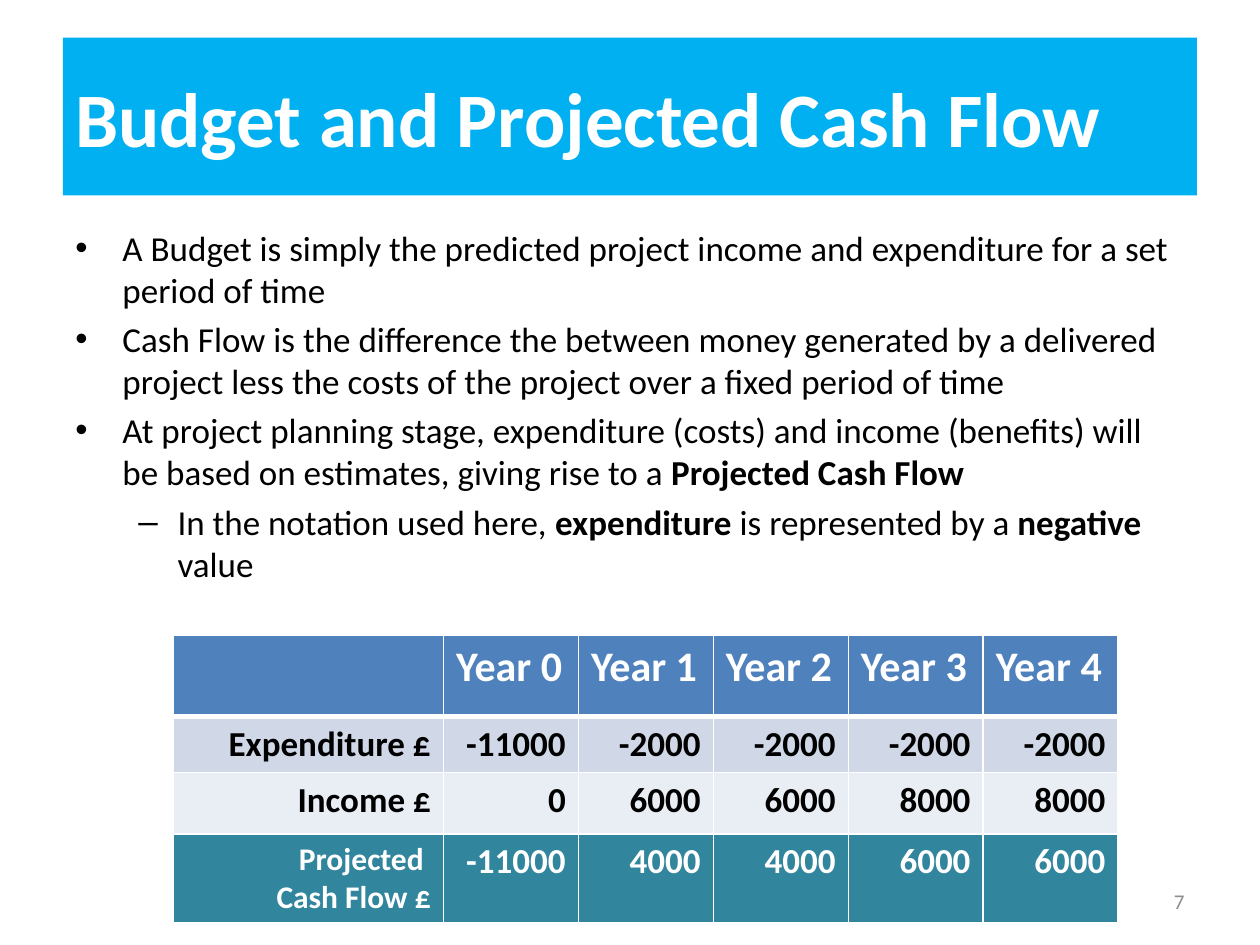
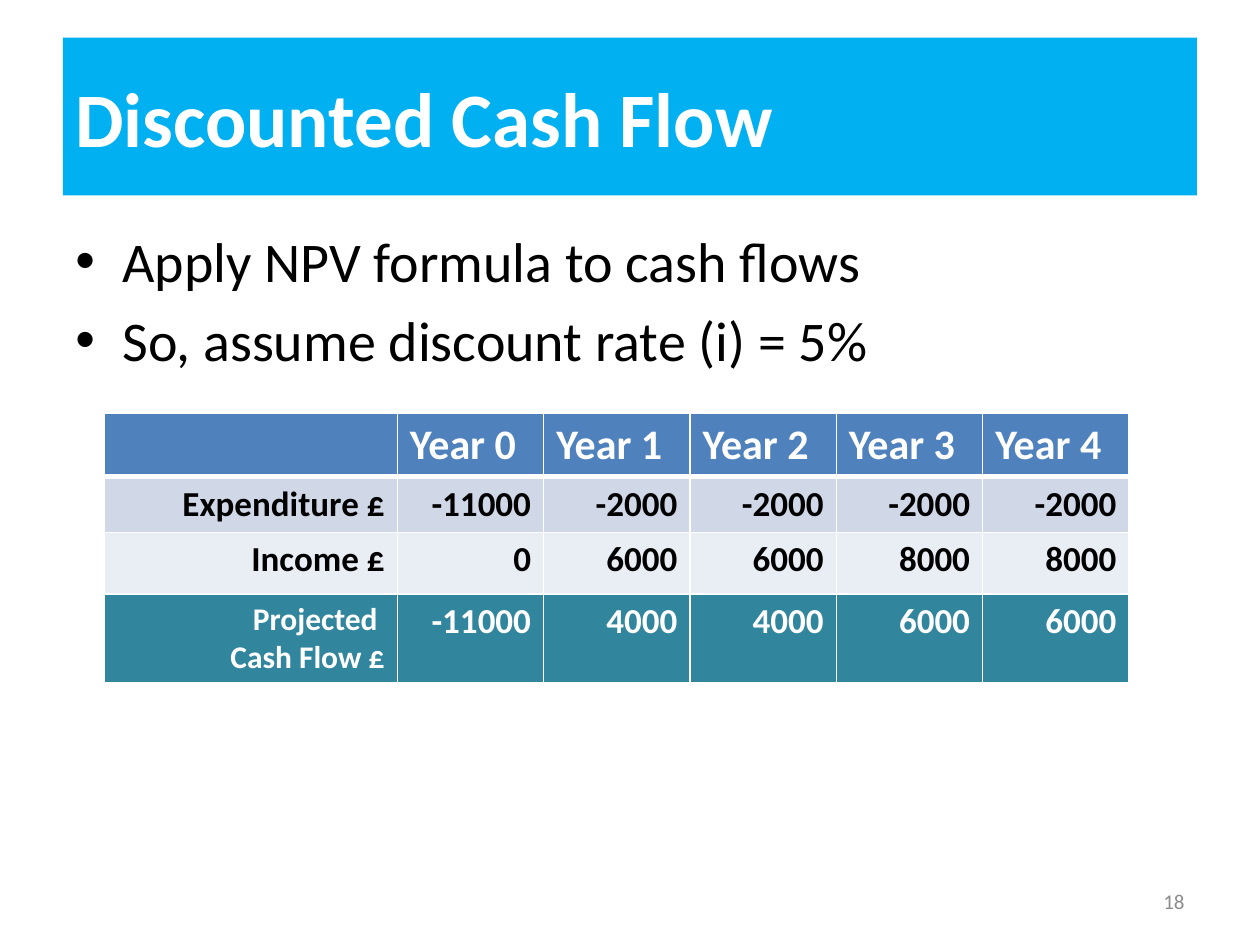
from lxml.etree import SubElement
from pptx import Presentation
from pptx.dml.color import RGBColor
from pptx.enum.shapes import MSO_SHAPE
from pptx.enum.text import MSO_ANCHOR, PP_ALIGN
from pptx.oxml.ns import qn
from pptx.util import Cm, Pt

WHITE = RGBColor(0xFF, 0xFF, 0xFF)
BLACK = RGBColor(0x00, 0x00, 0x00)
GREY = RGBColor(0x8C, 0x8C, 0x8C)
SKY = RGBColor(0x00, 0xB0, 0xF0)
BLUE = RGBColor(0x4F, 0x81, 0xBD)
PALE_BLUE = RGBColor(0xD0, 0xD8, 0xE8)
PALEST_BLUE = RGBColor(0xE9, 0xED, 0xF4)
TEAL = RGBColor(0x31, 0x85, 0x9C)

FONT = "Calibri"
MARGIN = 1.27
CONTENT_WIDTH = 22.86
BULLET_LEVELS = [("•", 0.95, 0.95), ("–", 2.06, 0.79)]

CASH_FLOW = [
    ["", "Year 0", "Year 1", "Year 2", "Year 3", "Year 4"],
    ["Expenditure £", "-11000", "-2000", "-2000", "-2000", "-2000"],
    ["Income £", "0", "6000", "6000", "8000", "8000"],
    ["Projected \nCash Flow £", "-11000", "4000", "4000", "6000", "6000"],
]
ROW_STYLES = [
    {"fill": BLUE, "color": WHITE, "size": 24, "align": PP_ALIGN.LEFT},
    {"fill": PALE_BLUE, "color": BLACK, "size": 20, "align": PP_ALIGN.RIGHT},
    {"fill": PALEST_BLUE, "color": BLACK, "size": 20, "align": PP_ALIGN.RIGHT},
    {"fill": TEAL, "color": WHITE, "size": 20, "align": PP_ALIGN.RIGHT},
]
LABEL_SIZE = 18
DATA_ROW_HEIGHTS = [1.12, 1.24, 1.8]

BUDGET_POINTS = [
    (0, "A Budget is simply the predicted project income and expenditure for a set period of time"),
    (0, "Cash Flow is the difference the between money generated by a delivered project "
        "less the costs of the project over a fixed period of time"),
    (0, "At project planning stage, expenditure (costs) and income (benefits) will be based on "
        "estimates, giving rise to a *Projected Cash Flow*"),
    (1, "In the notation used here, *expenditure* is represented by a *negative* value"),
]
DISCOUNT_POINTS = [
    (0, "Apply NPV formula to cash flows"),
    (0, "So, assume discount rate (i) = 5%"),
]


def add_run(paragraph, text, size, color, bold=False):
    """Append one formatted run to a paragraph."""
    run = paragraph.add_run()
    run.text = text
    run.font.color.rgb = color
    formats = {"name": FONT, "size": Pt(size), "bold": bold}
    for name, value in formats.items():
        setattr(run.font, name, value)


def add_title(slide, text):
    """Draw the title band with its heading."""
    band = slide.shapes.add_shape(
        MSO_SHAPE.RECTANGLE, Cm(MARGIN), Cm(0.76), Cm(CONTENT_WIDTH), Cm(3.18))
    band.shadow.inherit = False
    band.fill.solid()
    band.fill.fore_color.rgb = SKY
    band.line.fill.background()
    band.text_frame.vertical_anchor = MSO_ANCHOR.MIDDLE
    paragraph = band.text_frame.paragraphs[0]
    paragraph.alignment = PP_ALIGN.LEFT
    add_run(paragraph, text, 44, WHITE, True)


def add_page_number(slide, number):
    """Write the page number at the lower right."""
    box = slide.shapes.add_textbox(Cm(18.21), Cm(17.65), Cm(5.92), Cm(1.02))
    box.text_frame.word_wrap = True
    box.text_frame.vertical_anchor = MSO_ANCHOR.MIDDLE
    paragraph = box.text_frame.paragraphs[0]
    paragraph.alignment = PP_ALIGN.RIGHT
    add_run(paragraph, str(number), 12, GREY)


def set_bullet(paragraph, level):
    """Give a paragraph the bullet and hanging indent of its level."""
    character, margin, hanging = BULLET_LEVELS[level]
    paragraph.level = level
    properties = paragraph._p.get_or_add_pPr()
    properties.set("marL", str(Cm(margin)))
    properties.set("indent", str(-Cm(hanging)))
    SubElement(properties, qn("a:buFont"), typeface="Arial")
    SubElement(properties, qn("a:buChar"), char=character)


def add_bullets(slide, points, size):
    """Write bulleted points, with bold words between asterisks."""
    box = slide.shapes.add_textbox(Cm(MARGIN), Cm(4.45), Cm(CONTENT_WIDTH), Cm(12.57))
    frame = box.text_frame
    frame.word_wrap = True
    for index, (level, text) in enumerate(points):
        paragraph = frame.add_paragraph() if index else frame.paragraphs[0]
        paragraph.space_before = Pt(size * 0.2)
        set_bullet(paragraph, level)
        for part_index, part in enumerate(text.split("*")):
            if part:
                add_run(paragraph, part, size, BLACK, part_index % 2 == 1)


def set_borders(cell, row_index):
    """Outline a cell in white, with a heavy rule under the header."""
    widths = {"L": 1, "R": 1, "T": 3 if row_index == 1 else 1, "B": 3 if row_index == 0 else 1}
    for side, width in widths.items():
        line = SubElement(cell._tc.get_or_add_tcPr(), qn(f"a:ln{side}"), w=str(Pt(width)))
        fill = SubElement(line, qn("a:solidFill"))
        SubElement(fill, qn("a:srgbClr"), val=str(WHITE))


def fill_cell(cell, text, style, size):
    """Colour a cell and write its lines of text."""
    cell.fill.solid()
    cell.fill.fore_color.rgb = style["fill"]
    for index, line in enumerate(text.split("\n")):
        paragraph = cell.text_frame.add_paragraph() if index else cell.text_frame.paragraphs[0]
        paragraph.alignment = style["align"]
        if line:
            add_run(paragraph, line, size, style["color"], True)


def add_cash_flow_table(slide, left, top, year_width, header_height):
    """Build the cash flow table, its label column twice as wide as a year."""
    heights = [header_height] + DATA_ROW_HEIGHTS
    widths = [2 * year_width] + [year_width] * (len(CASH_FLOW[0]) - 1)
    table = slide.shapes.add_table(
        len(heights), len(widths), Cm(left), Cm(top), Cm(sum(widths)), Cm(sum(heights))).table
    for column, width in zip(table.columns, widths):
        column.width = Cm(width)
    for row_index, (values, style) in enumerate(zip(CASH_FLOW, ROW_STYLES)):
        table.rows[row_index].height = Cm(heights[row_index])
        for column_index, value in enumerate(values):
            cell = table.cell(row_index, column_index)
            set_borders(cell, row_index)
            size = LABEL_SIZE if "\n" in value else style["size"]
            fill_cell(cell, value, style, size)


def add_content_slide(presentation, title, number, points, size, table_layout):
    """Add a slide with title band, bullets, page number and cash flow table."""
    slide = presentation.slides.add_slide(presentation.slide_layouts[6])
    add_title(slide, title)
    add_bullets(slide, points, size)
    add_page_number(slide, number)
    add_cash_flow_table(slide, **table_layout)


def main():
    """Build and save the presentation."""
    presentation = Presentation()
    presentation.slide_width = Cm(25.4)
    presentation.slide_height = Cm(19.05)
    add_content_slide(
        presentation, "Budget and Projected Cash Flow", 7, BUDGET_POINTS, 20,
        {"left": 3.5, "top": 12.8, "year_width": 2.72, "header_height": 1.65})
    add_content_slide(
        presentation, "Discounted Cash Flow", 18, DISCOUNT_POINTS, 32,
        {"left": 2.11, "top": 8.33, "year_width": 2.95, "header_height": 1.28})
    presentation.save("out.pptx")


if __name__ == "__main__":
    main()
